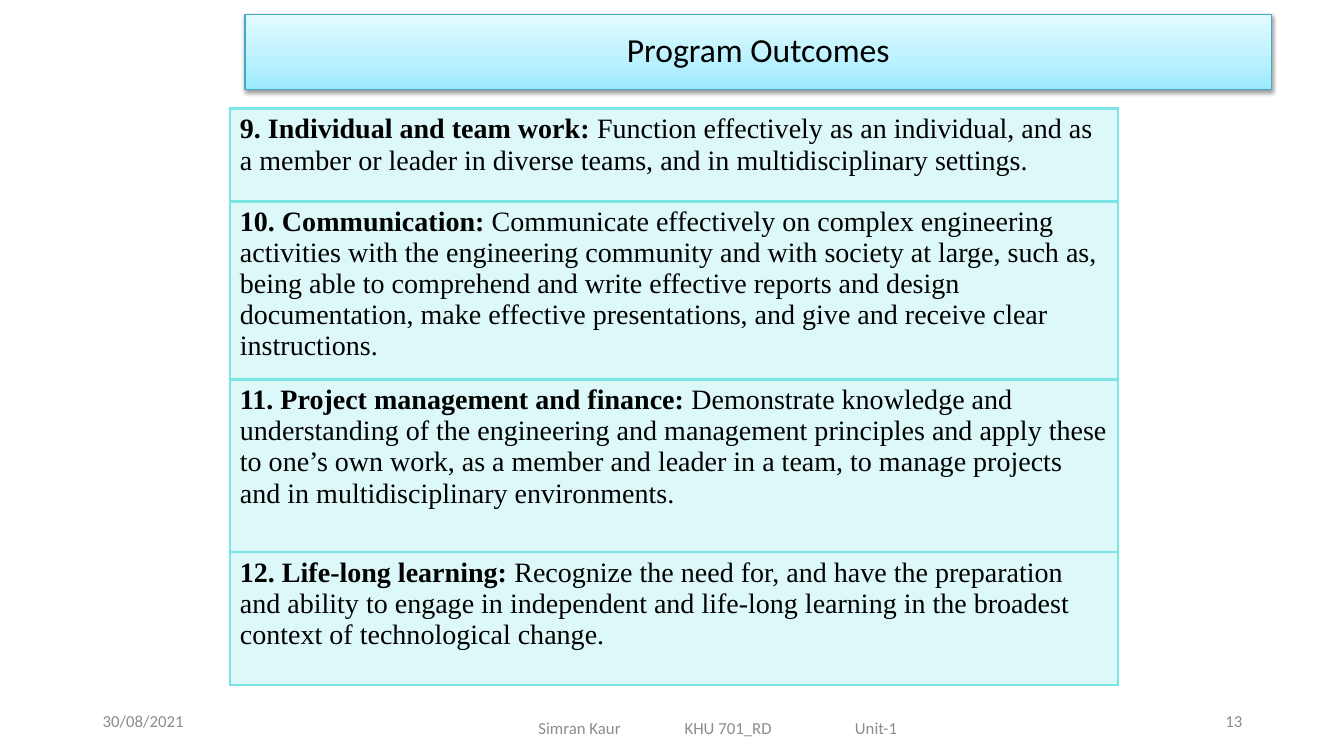
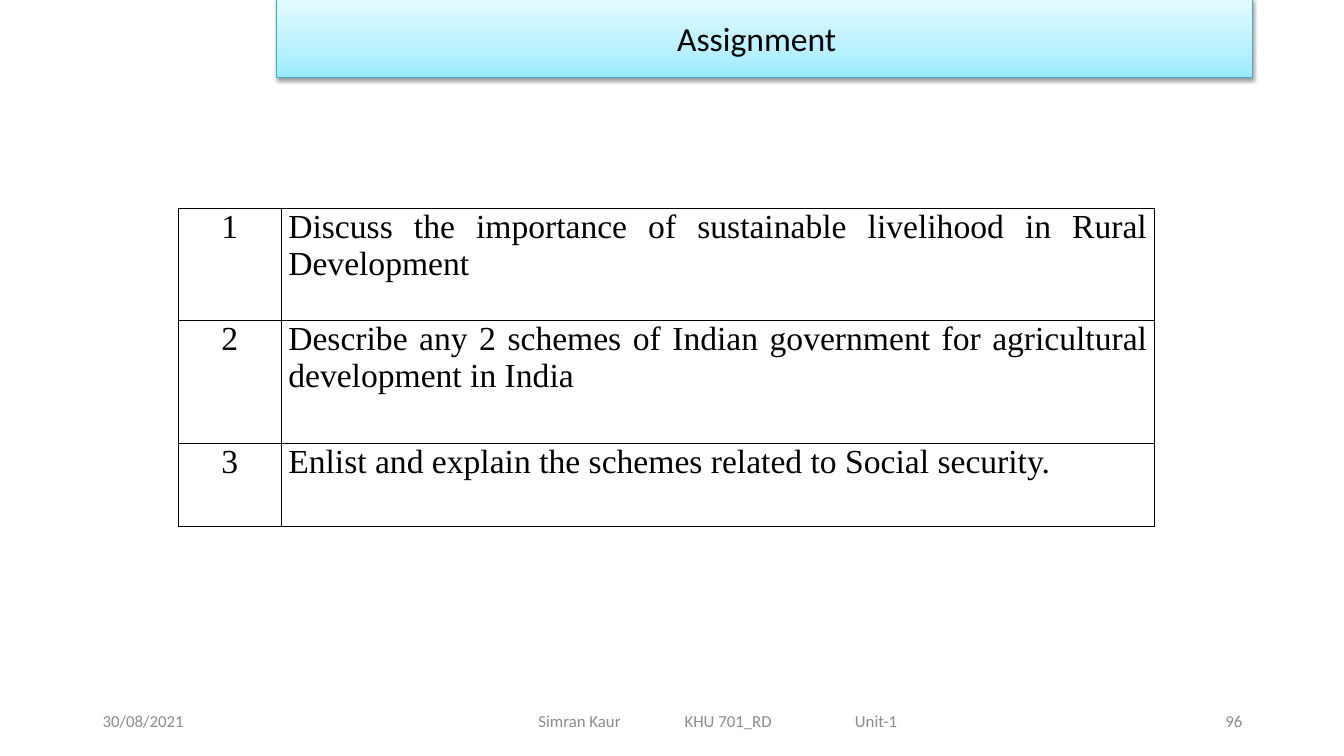
from lxml import etree
from pptx import Presentation
from pptx.dml.color import RGBColor
from pptx.enum.text import MSO_ANCHOR, MSO_AUTO_SIZE, PP_ALIGN
from pptx.oxml import parse_xml
from pptx.oxml.ns import nsdecls, qn
from pptx.util import Inches, Pt

LEFT, CENTER, RIGHT, JUSTIFY = PP_ALIGN.LEFT, PP_ALIGN.CENTER, PP_ALIGN.RIGHT, PP_ALIGN.JUSTIFY
MIDDLE = MSO_ANCHOR.MIDDLE
NO_FIT = MSO_AUTO_SIZE.NONE
TITLE_ONLY = 5

COLORS = {
    "text": "000000",
    "footer": "8C8C8C",
    "aqua": "7BE5E5",
    "band_line": "45A9C4",
    "shadow": "000000",
}
BAND_STOPS = [(0, "9BE9FF"), (35, "B8F1FF"), (100, "E2FBFF")]

TITLE_FONT = {"name": "Calibri", "size": Pt(24), "bold": False}
FOOTER_FONT = {"name": "Calibri", "size": Pt(12)}
OUTCOME_FONT = {"name": "Times New Roman", "size": Pt(20)}
TASK_FONT = {"name": "Times New Roman", "size": Pt(24)}

DATE = "30/08/2021"
FOOTER_PARTS = ["Simran Kaur", "KHU 701_RD", "Unit-1"]
FOOTER_TABS = [1.45, 3.14]
FOOTER_TOP = 6.95

OUTCOMES = [
    ("9. Individual and team work: ",
     "Function effectively as an individual, and as a member or leader in diverse teams, "
     "and in multidisciplinary settings."),
    ("10. Communication: ",
     "Communicate effectively on complex engineering activities with the engineering community "
     "and with society at large, such as, being able to comprehend and write effective reports "
     "and design documentation, make effective presentations, and give and receive clear "
     "instructions."),
    ("11. Project management and finance: ",
     "Demonstrate knowledge and understanding of the engineering and management principles and "
     "apply these to one’s own work, as a member and leader in a team, to manage projects and in "
     "multidisciplinary environments."),
    ("12. Life-long learning: ",
     "Recognize the need for, and have the preparation and ability to engage in independent and "
     "life-long learning in the broadest context of technological change."),
]
TASKS = [
    "Discuss the importance of sustainable livelihood in Rural Development",
    "Describe any 2 schemes of Indian government for agricultural development in India",
    "Enlist and explain the schemes related to Social security.",
]


def add_span(para, text, font, color="text", **extra):
    span = para.add_run()
    span.text = text
    for name, value in {**font, **extra}.items():
        setattr(span.font, name, value)
    span.font.color.rgb = RGBColor.from_string(COLORS[color])


def style_band(shape):
    """Give a shape the gradient, outline and soft shadow of the title band."""
    shape.line.color.rgb = RGBColor.from_string(COLORS["band_line"])
    shape.line.width = Pt(0.75)
    stops = "".join(
        f'<a:gs pos="{percent * 1000}"><a:srgbClr val="{color}"/></a:gs>'
        for percent, color in BAND_STOPS)
    properties = shape.fill._xPr
    properties.find(qn("a:ln")).addprevious(parse_xml(
        f'<a:gradFill {nsdecls("a")} rotWithShape="1"><a:gsLst>{stops}</a:gsLst>'
        '<a:lin ang="16200000" scaled="0"/></a:gradFill>'))
    properties.append(parse_xml(
        f'<a:effectLst {nsdecls("a")}>'
        '<a:outerShdw blurRad="40000" dist="20000" dir="5400000" rotWithShape="0">'
        f'<a:srgbClr val="{COLORS["shadow"]}"><a:alpha val="38000"/></a:srgbClr>'
        '</a:outerShdw></a:effectLst>'))


def add_title(page, text, left, top, width, height, spacing=1.0, right_inset=0.1):
    title = page.shapes.title
    title.left, title.top, title.width, title.height = map(Inches, (left, top, width, height))
    style_band(title)
    frame = title.text_frame
    frame.auto_size = NO_FIT
    frame.vertical_anchor = MIDDLE
    frame.margin_right = Inches(right_inset)
    para = frame.paragraphs[0]
    para.alignment = CENTER
    para.line_spacing = spacing
    add_span(para, text, TITLE_FONT)


def add_footer_text(page, text, left, top, width, align):
    box = page.shapes.add_textbox(Inches(left), Inches(top), Inches(width), Inches(0.4))
    frame = box.text_frame
    frame.word_wrap = True
    frame.vertical_anchor = MIDDLE
    para = frame.paragraphs[0]
    para.alignment = align
    add_span(para, text, FOOTER_FONT, "footer")
    return box


def add_footer(page, number, course_top=FOOTER_TOP):
    add_footer_text(page, DATE, 0.92, FOOTER_TOP, 3, LEFT)
    course = add_footer_text(page, "\t".join(FOOTER_PARTS), 4.08, course_top, 6.08, LEFT)
    course.text_frame.margin_left = Inches(1.26)
    properties = course.text_frame.paragraphs[0]._p.get_or_add_pPr()
    tabs = etree.SubElement(properties, qn("a:tabLst"))
    for position in FOOTER_TABS:
        etree.SubElement(tabs, qn("a:tab"), pos=str(Inches(position)), algn="l")
    add_footer_text(page, str(number), 9.42, FOOTER_TOP, 3, RIGHT)


def add_plain_table(page, left, top, widths, heights):
    """Add a table without header or banding, sized by its columns and rows."""
    table = page.shapes.add_table(
        len(heights), len(widths), Inches(left), Inches(top),
        Inches(sum(widths)), Inches(sum(heights))).table
    table.first_row = table.horz_banding = False
    for column, width in zip(table.columns, widths):
        column.width = Inches(width)
    for row, height in zip(table.rows, heights):
        row.height = Inches(height)
    return table


def set_borders(cell, color, points):
    properties = cell._tc.get_or_add_tcPr()
    for index, side in enumerate("LRTB"):
        properties.insert(index, parse_xml(
            f'<a:ln{side} {nsdecls("a")} w="{Pt(points)}"><a:solidFill>'
            f'<a:srgbClr val="{COLORS[color]}"/></a:solidFill></a:ln{side}>'))


def set_tint(cell, color, opacity):
    cell.fill.solid()
    cell.fill.fore_color.rgb = RGBColor.from_string(COLORS[color])
    tint = cell._tc.tcPr.find(qn("a:solidFill")).find(qn("a:srgbClr"))
    etree.SubElement(tint, qn("a:alpha"), val=str(opacity * 1000))


def add_outcomes_table(page):
    table = add_plain_table(page, 2.28, 1.08, [8.81], [0.92, 1.71, 1.71, 1.32])
    for cell, (heading, text) in zip(table.iter_cells(), OUTCOMES):
        set_tint(cell, "aqua", 25)
        set_borders(cell, "aqua", 2.25)
        para = cell.text_frame.paragraphs[0]
        add_span(para, heading, OUTCOME_FONT, bold=True)
        add_span(para, text, OUTCOME_FONT, bold=False)


def add_tasks_table(page):
    table = add_plain_table(page, 1.77, 2.07, [1.02, 8.66], [1.11, 1.22, 0.82])
    for row, (number, task) in zip(table.rows, enumerate(TASKS, 1)):
        for cell, text, align in zip(row.cells, (str(number), task), (CENTER, JUSTIFY)):
            cell.fill.background()
            set_borders(cell, "text", 1)
            cell.margin_left = cell.margin_right = Inches(0.07)
            cell.margin_top = cell.margin_bottom = 0
            para = cell.text_frame.paragraphs[0]
            para.alignment = align
            add_span(para, text, TASK_FONT)


def main():
    deck = Presentation()
    deck.slide_width, deck.slide_height = Inches(13.33), Inches(7.5)
    layout = deck.slide_layouts[TITLE_ONLY]

    page = deck.slides.add_slide(layout)
    add_footer(page, 13, course_top=7.02)
    add_outcomes_table(page)
    add_title(page, "Program Outcomes", 2.43, 0.14, 10.18, 0.75, spacing=0.9)

    page = deck.slides.add_slide(layout)
    add_footer(page, 96)
    add_tasks_table(page)
    add_title(page, "Assignment", 2.74, -0.01, 9.68, 0.78, right_inset=0.25)

    deck.save("out.pptx")


if __name__ == "__main__":
    main()
